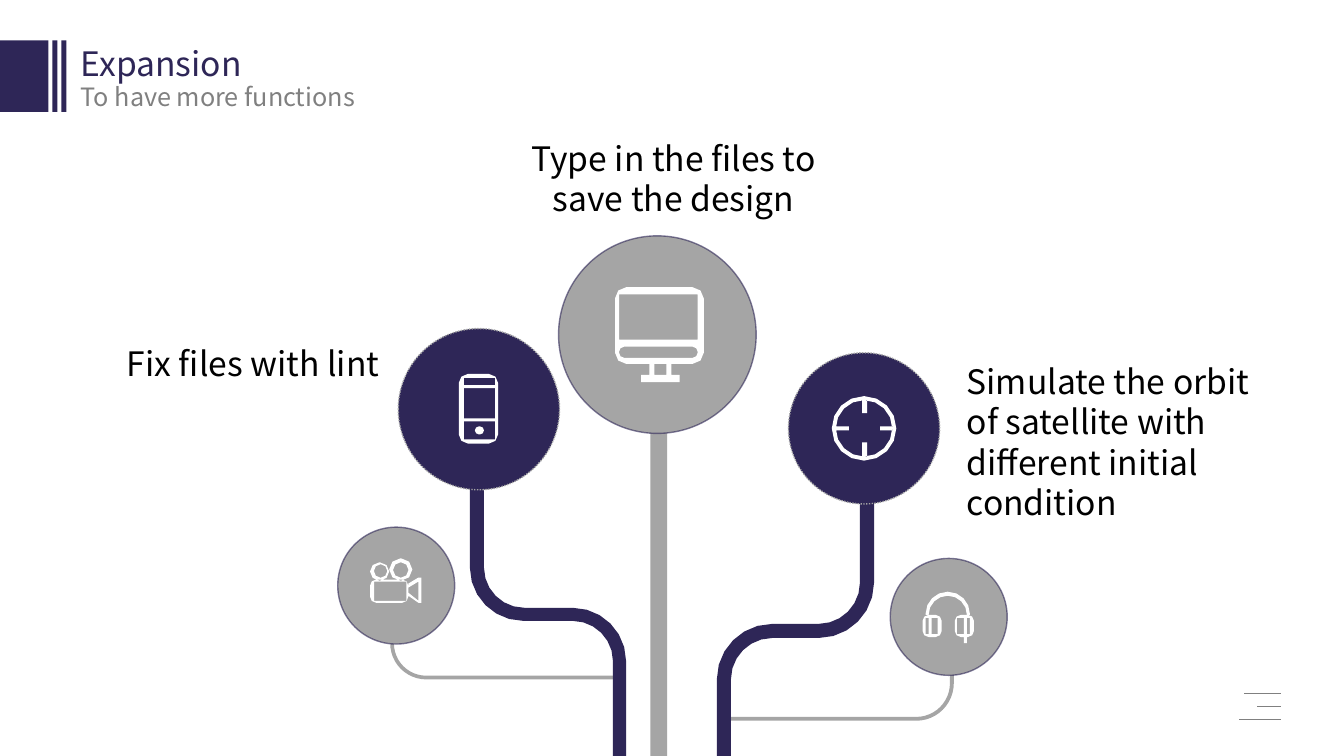
from lxml import etree
from pptx import Presentation
from pptx.dml.color import RGBColor
from pptx.enum.dml import MSO_LINE
from pptx.enum.shapes import MSO_CONNECTOR, MSO_SHAPE
from pptx.enum.text import MSO_ANCHOR, MSO_AUTO_SIZE, PP_ALIGN
from pptx.oxml.ns import qn
from pptx.util import Inches, Pt

RECTANGLE, OVAL = MSO_SHAPE.RECTANGLE, MSO_SHAPE.OVAL
BENT_ARROW, UP_ARROW = MSO_SHAPE.BENT_ARROW, MSO_SHAPE.UP_ARROW
LEFT, CENTER, RIGHT = PP_ALIGN.LEFT, PP_ALIGN.CENTER, PP_ALIGN.RIGHT
FONT = "Noto Sans CJK SC"
COLORS = {"navy": "2E2657", "silver": "A5A5A5", "gray": "808080",
          "white": "FFFFFF", "black": "000000"}
COLORS = {name: RGBColor.from_string(value) for name, value in COLORS.items()}

presentation = Presentation()
presentation.slide_width = Inches(13.33)
presentation.slide_height = Inches(7.5)
slide = presentation.slides.add_slide(presentation.slide_layouts[1])
shapes = slide.shapes


def rounded(corners):
    points = []
    for index, (x, y, radius) in enumerate(corners):
        if not radius:
            points.append((x, y))
            continue
        steps = 2 if radius < 0.15 else 4 if radius < 0.4 else 6
        ends = []
        for other_x, other_y, _ in (corners[index - 1], corners[(index + 1) % len(corners)]):
            length = ((other_x - x) ** 2 + (other_y - y) ** 2) ** 0.5
            ends.append(((other_x - x) / length * radius, (other_y - y) / length * radius))
        for step in range(steps + 1):
            t = step / steps
            before = (1 - t) ** 3 + 1.35 * t * (1 - t) ** 2
            after = t ** 3 + 1.35 * t ** 2 * (1 - t)
            points.append((x + before * ends[0][0] + after * ends[1][0],
                           y + before * ends[0][1] + after * ends[1][1]))
    return points


def draw_outline(contours, color):
    builder = None
    for corners in contours:
        if len(corners) == 5:
            left, top, right, bottom, radius = corners
            corners = [(left, top, radius), (right, top, radius),
                       (right, bottom, radius), (left, bottom, radius)]
        points = [(Inches(x), Inches(y)) for x, y in rounded(corners)]
        if builder is None:
            builder = shapes.build_freeform(*points[0], scale=1.0)
        else:
            builder.move_to(*points[0])
        builder.add_line_segments(points[1:], close=True)
    shape = builder.convert_to_shape()
    shape.shadow.inherit = False
    shape.fill.solid()
    shape.fill.fore_color.rgb = COLORS[color]
    shape.line.fill.background()


for left, width in [(0, 0.48), (0.52, 0.05), (0.61, 0.05)]:
    bar = shapes.add_shape(RECTANGLE, Inches(left), Inches(0.4), Inches(width), Inches(0.71))
    bar.shadow.inherit = False
    bar.fill.solid()
    bar.fill.fore_color.rgb = COLORS["navy"]
    bar.line.fill.background()

for left, y in [(12.34, 6.88), (12.47, 7.01), (12.29, 7.14)]:
    rule = shapes.add_connector(MSO_CONNECTOR.STRAIGHT, Inches(left), Inches(y),
                                Inches(12.71), Inches(y))
    rule.line.color.rgb = COLORS["gray"]
    rule.line.width = Pt(0.5)
    etree.SubElement(rule.element.spPr, qn("a:effectLst"))

BRANCH = (0.177, 0.036, 0, 0.703)
for kind, left, top, width, height, rotation, mirrored, adjustments in [
    (BENT_ARROW, 3.87, 6.23, 2.29, 0.51, 180, True, BRANCH),
    (UP_ARROW, 6.38, 3.2, 0.31, 5.06, 0, False, (0.535, 0)),
    (BENT_ARROW, 7.22, 6.62, 2.24, 0.53, 180, False, BRANCH),
]:
    branch = shapes.add_shape(kind, Inches(left), Inches(top), Inches(width), Inches(height))
    branch.shadow.inherit = False
    branch.rotation = rotation
    for index, value in enumerate(adjustments):
        branch.adjustments[index] = value
    if mirrored:
        branch.element.spPr.xfrm.set("flipH", "1")
    branch.fill.solid()
    branch.fill.fore_color.rgb = COLORS["silver"]
    branch.line.fill.background()

for outer_x, inner_x, foot_outer, foot_inner, foot, upper, lower, first, second in [
    (4.66, 4.8, 6.21, 6.08, 7.94, 6.03, 6.16, 0.4, 0.53),
    (8.67, 8.53, 7.11, 7.25, 8.26, 6.19, 6.33, 0.41, 0.55),
]:
    draw_outline([[
        (outer_x, 4.26, 0), (inner_x, 4.26, 0), (inner_x, upper, first),
        (foot_outer, upper, second), (foot_outer, foot, 0), (foot_inner, foot, 0),
        (foot_inner, lower, first), (outer_x, lower, second),
    ]], "navy")

for left, top, size, fill, outline in [
    (7.82, 3.5, 1.5, "navy", "silver"),
    (5.54, 2.34, 1.96, "silver", "navy"),
    (3.95, 3.26, 1.6, "navy", "silver"),
    (3.35, 5.23, 1.16, "silver", "navy"),
    (8.83, 5.54, 1.16, "silver", "navy"),
]:
    circle = shapes.add_shape(OVAL, Inches(left), Inches(top), Inches(size), Inches(size))
    circle.shadow.inherit = False
    circle.fill.solid()
    circle.fill.fore_color.rgb = COLORS[fill]
    circle.line.color.rgb = COLORS[outline]
    circle.line.width = Pt(1)
    if outline == "silver":
        circle.line.dash_style = MSO_LINE.ROUND_DOT
    else:
        color = circle.element.spPr.find(qn("a:ln")).find(".//" + qn("a:srgbClr"))
        etree.SubElement(color, qn("a:alpha")).set("val", "60000")

crosshair = [
    (8.25, 3.93, 8.89, 4.57, 0.32), (8.29, 3.97, 8.85, 4.53, 0.28),
    (8.55, 3.97, 8.6, 4.1, 0), (8.55, 4.39, 8.6, 4.53, 0),
    (8.29, 4.23, 8.42, 4.27, 0), (8.73, 4.23, 8.85, 4.27, 0),
]
headphones = [
    [(9.18, 6.1, 0), (9.18, 5.87, 0.22), (9.62, 5.87, 0.22), (9.62, 6.1, 0),
     (9.59, 6.1, 0), (9.59, 5.91, 0.19), (9.21, 5.91, 0.19), (9.21, 6.1, 0)],
    (9.15, 6.1, 9.34, 6.32, 0.06), (9.18, 6.13, 9.21, 6.29, 0),
    (9.24, 6.13, 9.3, 6.29, 0), (9.47, 6.1, 9.66, 6.32, 0.06),
    (9.49, 6.13, 9.56, 6.29, 0), (9.59, 6.13, 9.62, 6.29, 0),
    (9.56, 6.32, 9.59, 6.38, 0),
]
camera = [
    (3.67, 5.75, 4.05, 5.98, 0.06), (3.71, 5.77, 4.03, 5.96, 0),
    (3.67, 5.58, 3.86, 5.76, 0.09), (3.71, 5.6, 3.84, 5.73, 0.06),
    (3.86, 5.54, 4.09, 5.76, 0.11), (3.9, 5.58, 4.05, 5.73, 0.07),
    [(4.05, 5.79, 0), (4.15, 5.73, 0), (4.18, 5.73, 0),
     (4.18, 5.98, 0), (4.15, 5.98, 0), (4.05, 5.91, 0)],
    [(4.05, 5.83, 0), (4.15, 5.77, 0), (4.15, 5.96, 0), (4.05, 5.88, 0)],
]
monitor = [
    (6.1, 2.85, 6.98, 3.61, 0.11), (6.14, 2.92, 6.92, 3.37, 0),
    (6.14, 3.44, 6.92, 3.55, 0.05), (6.44, 3.61, 6.66, 3.72, 0),
    (6.49, 3.61, 6.61, 3.72, 0), (6.36, 3.72, 6.74, 3.79, 0),
]
phone = [
    (4.55, 3.71, 4.94, 4.4, 0.09), (4.6, 3.75, 4.91, 3.82, 0),
    (4.6, 3.85, 4.91, 4.15, 0), (4.6, 4.18, 4.91, 4.36, 0),
    (4.71, 4.23, 4.8, 4.31, 0.04),
]
for icon in (crosshair, headphones, camera, monitor, phone):
    draw_outline(icon, "white")

for holder, left, top, width, height, text, size, color, alignment in [
    (shapes.title, 0.7, 0.38, 3.24, 0.5, "Expansion", 24, "navy", LEFT),
    (slide.placeholders[1], 0.7, 0.76, 3.83, 0.4, "To have more functions", 18, "gray", LEFT),
    (None, 9.49, 3.53, 3.24, 1.72,
     "Simulate the orbit of satellite with different initial condition", 24, "black", LEFT),
    (None, 5.06, 1.32, 3.24, 0.91, "Type in the files to save the design", 24, "black", CENTER),
    (None, 0.62, 3.35, 3.24, 0.5, "Fix files with lint", 24, "black", RIGHT),
]:
    box = [Inches(value) for value in (left, top, width, height)]
    shape = shapes.add_textbox(*box) if holder is None else holder
    for name, value in zip(("left", "top", "width", "height"), box):
        setattr(shape, name, value)
    frame = shape.text_frame
    frame.text = text
    paragraph = frame.paragraphs[0]
    for target, values in [
        (frame, {"word_wrap": True, "auto_size": MSO_AUTO_SIZE.NONE,
                 "vertical_anchor": MSO_ANCHOR.TOP}),
        (paragraph, {"alignment": alignment, "space_before": Pt(0),
                     "line_spacing": Pt(size * 1.2)}),
        (paragraph.runs[0].font, {"name": FONT, "size": Pt(size)}),
    ]:
        for name, value in values.items():
            setattr(target, name, value)
    paragraph.runs[0].font.color.rgb = COLORS[color]
    if holder is not None:
        properties = paragraph._p.get_or_add_pPr()
        properties.set("marL", "0")
        properties.set("indent", "0")
        etree.SubElement(properties, qn("a:buNone"))

presentation.save("out.pptx")
